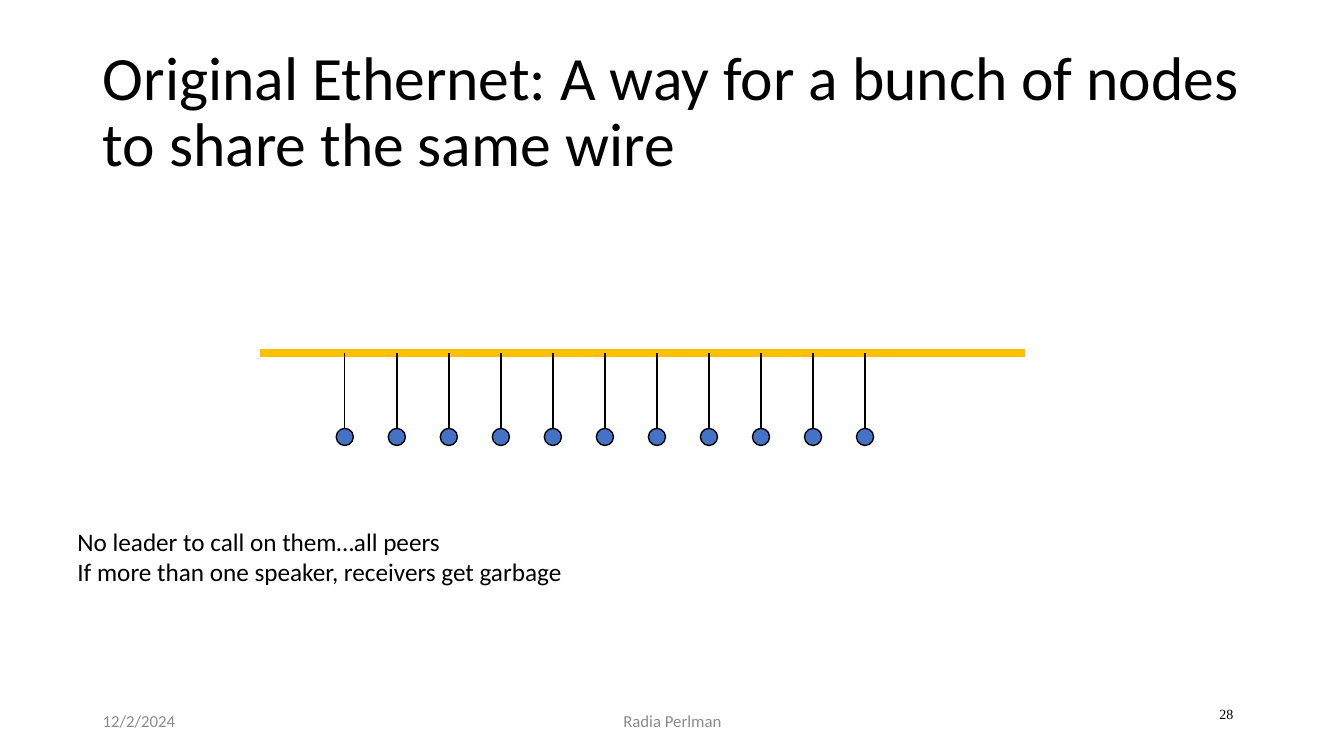
from lxml.etree import SubElement
from pptx import Presentation
from pptx.dml.color import RGBColor
from pptx.enum.shapes import MSO_CONNECTOR, MSO_SHAPE
from pptx.enum.text import MSO_ANCHOR, MSO_AUTO_SIZE, PP_ALIGN
from pptx.oxml.ns import qn
from pptx.util import Inches, Pt

TITLE = "Original Ethernet: A way for a bunch of nodes to share the same wire"
REMARKS = [
    "No leader to call on them…all peers",
    "If more than one speaker, receivers get garbage",
]
DATE, AUTHOR, PAGE_NUMBER = "12/2/2024", "Radia Perlman", "28"

COLORS = {"text": "000000", "wire": "FFC000", "node": "4472C4", "footer": "8C8C8C"}
WIRE_LEFT, WIRE_RIGHT, WIRE_Y = 2.58, 10.17, 3.5
NODE_COUNT, FIRST_NODE_X, LAST_NODE_X = 11, 3.42, 8.58
NODE_TOP, NODE_SIZE = 4.25, 0.17


def color(name):
    return RGBColor.from_string(COLORS[name])


def write_text(shape, lines, size, font="Calibri", fill="text", align=PP_ALIGN.LEFT,
               anchor=MSO_ANCHOR.MIDDLE, line_spacing=1.0):
    frame = shape.text_frame
    frame.word_wrap = True
    frame.auto_size = MSO_AUTO_SIZE.NONE
    frame.vertical_anchor = anchor
    frame.text = "\n".join(lines)
    for paragraph in frame.paragraphs:
        paragraph.alignment = align
        paragraph.line_spacing = line_spacing
        paragraph.font.size = Pt(size)
        paragraph.font.name = font
        paragraph.font.color.rgb = color(fill)


def add_text(slide, box, lines, size, **text_format):
    shape = slide.shapes.add_textbox(*map(Inches, box))
    write_text(shape, lines, size, **text_format)


def add_line(shapes, start, end, fill, width):
    line = shapes.add_connector(MSO_CONNECTOR.STRAIGHT, *map(Inches, start + end))
    line.line.color.rgb = color(fill)
    line.line.width = Pt(width)
    SubElement(line._element.spPr, qn("a:effectLst"))


def add_node(slide, x):
    group = slide.shapes.add_group_shape()
    add_line(group.shapes, (x, WIRE_Y), (x, NODE_TOP), "text", 1)
    node = group.shapes.add_shape(
        MSO_SHAPE.OVAL, Inches(x - NODE_SIZE / 2), Inches(NODE_TOP),
        Inches(NODE_SIZE), Inches(NODE_SIZE))
    node.shadow.inherit = False
    node.fill.solid()
    node.fill.fore_color.rgb = color("node")
    node.line.color.rgb = color("text")
    node.line.width = Pt(1)


def main():
    presentation = Presentation()
    presentation.slide_width = Inches(13.33)
    presentation.slide_height = Inches(7.5)
    slide = presentation.slides.add_slide(presentation.slide_layouts[5])

    title = slide.shapes.title
    title.left, title.top, title.width, title.height = map(Inches, (0.92, 0.4, 11.5, 1.45))
    write_text(title, [TITLE], 44, line_spacing=0.9)
    add_text(slide, (9.44, 6.83, 2.89, 0.5), [PAGE_NUMBER], 10,
             font="Times New Roman", align=PP_ALIGN.RIGHT)

    add_line(slide.shapes, (WIRE_LEFT, WIRE_Y), (WIRE_RIGHT, WIRE_Y), "wire", 6)
    node_step = (LAST_NODE_X - FIRST_NODE_X) / (NODE_COUNT - 1)
    for index in range(NODE_COUNT):
        add_node(slide, FIRST_NODE_X + index * node_step)

    add_text(slide, (0.67, 5.17, 6.56, 0.91), REMARKS, 18, anchor=MSO_ANCHOR.TOP)
    add_text(slide, (0.92, 6.95, 3, 0.4), [DATE], 12, fill="footer")
    add_text(slide, (4.42, 6.95, 4.5, 0.4), [AUTHOR], 12, fill="footer",
             align=PP_ALIGN.CENTER)

    presentation.save("out.pptx")


if __name__ == "__main__":
    main()
